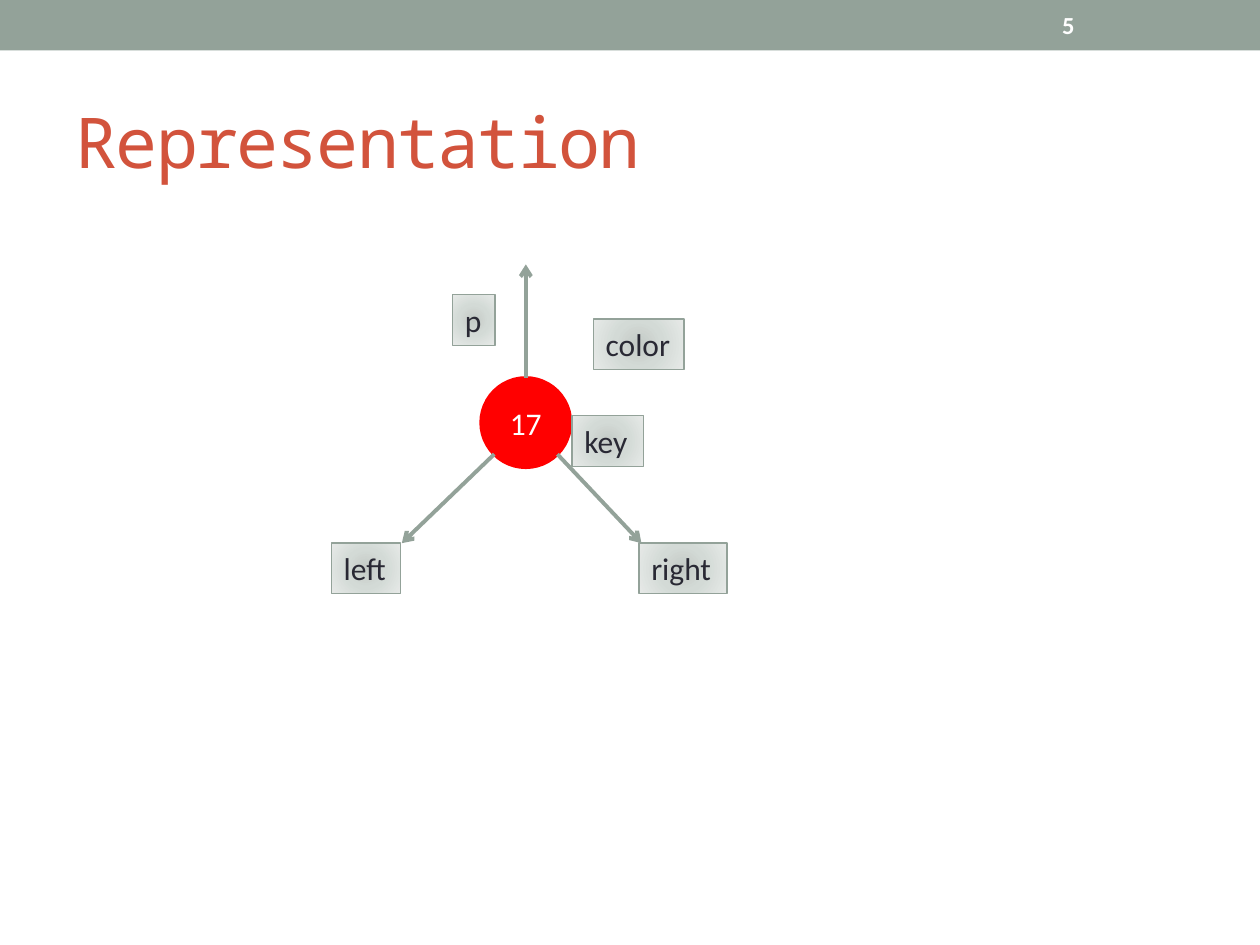
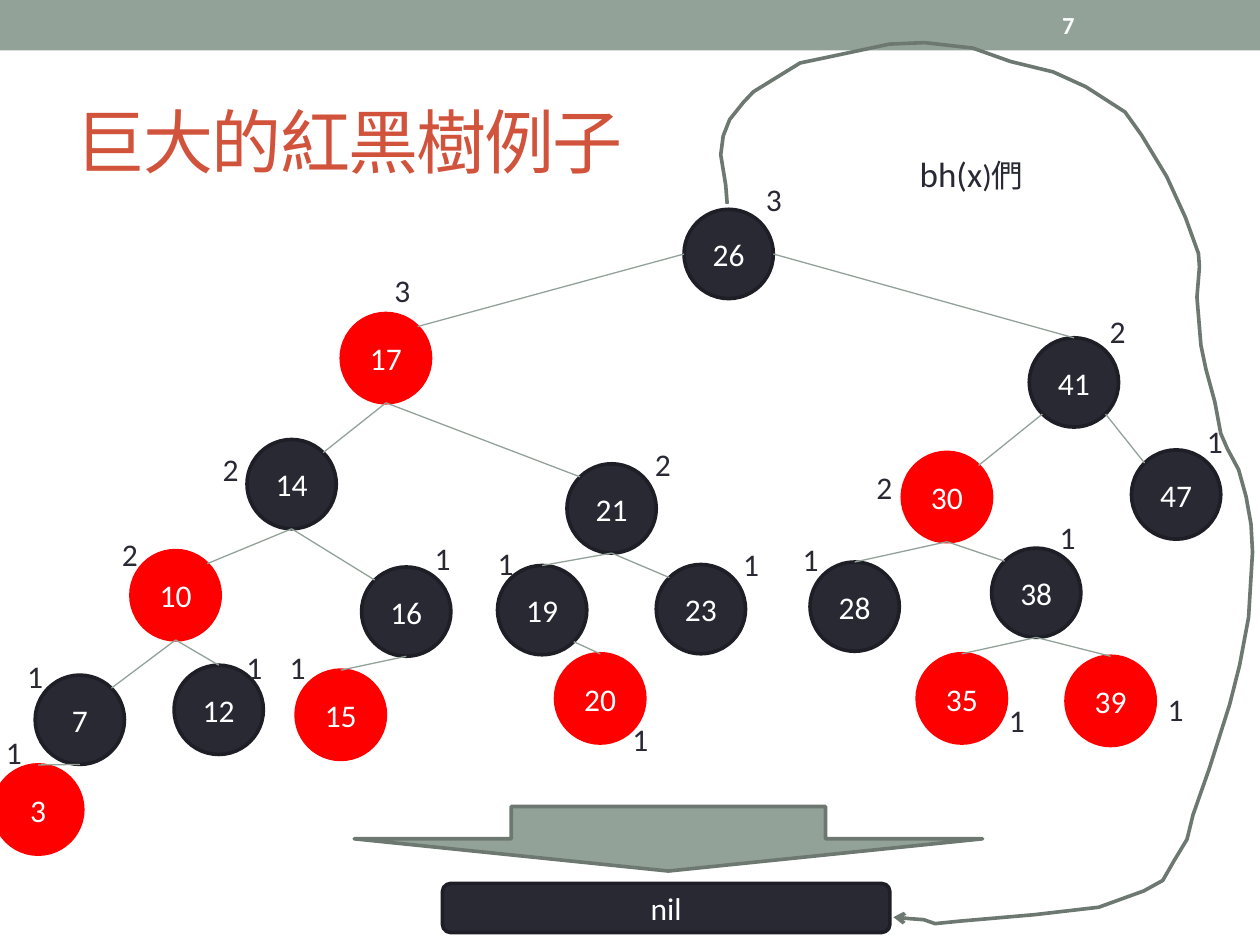
from dataclasses import dataclass
from math import cos, radians, sin

from lxml import etree
from pptx import Presentation
from pptx.dml.color import RGBColor
from pptx.enum import shapes, text
from pptx.oxml import ns, parse_xml
from pptx.util import Cm, Pt


@dataclass(frozen=True)
class Theme:
    sage: str = "93A299"
    sage_dark: str = "6D7871"
    accent: str = "D2533C"
    ink: str = "292934"
    ink_dark: str = "1E1E26"
    red: str = "FF0000"
    white: str = "FFFFFF"
    tag_stops: tuple = ((0, "C4CAC6"), (45, "D3DAD6"), (100, "E7EAE8"))
    body_font: str = "Calibri"
    title_font: str = "Noto Sans Mono"
    title_size: float = 40
    formula_size: float = 20
    body_size: float = 18
    number_size: float = 14
    outline: float = 2.08
    arrow: float = 2.25
    hairline: float = 0.75


DIAMETER = 1.8
ANGLES = {"R": 0, "BR": 45, "B": 90, "BL": 135, "L": 180, "TL": 225, "T": 270, "TR": 315}

# key: left, top, colour, black height, left and top of the height label
TREE = {
    26: (13.79, 4.22, "black", 3, 15.19, 3.51),
    17: (6.88, 6.32, "red", 3, 7.7, 5.33),
    41: (20.75, 6.81, "black", 2, 22.12, 6.17),
    47: (22.81, 9.07, "black", 1, 24.08, 8.38),
    30: (18.19, 9.12, "red", 2, 17.42, 9.32),
    35: (18.49, 13.18, "red", 1, 20.09, 14.0),
    39: (21.49, 13.23, "red", 1, 23.29, 13.79),
    38: (19.99, 11.05, "black", 1, 21.11, 10.31),
    28: (16.33, 11.33, "black", 1, 15.93, 10.77),
    14: (4.98, 8.86, "black", 2, 4.24, 8.94),
    21: (11.43, 9.35, "black", 2, 12.95, 8.84),
    10: (2.64, 11.1, "red", 2, 2.21, 10.67),
    16: (7.29, 11.43, "black", 1, 8.51, 10.74),
    19: (10.03, 11.4, "black", 1, 9.78, 10.85),
    23: (13.23, 11.38, "black", 1, 14.73, 10.87),
    20: (11.2, 13.18, "red", 1, 12.5, 14.4),
    15: (5.97, 13.51, "red", 1, 5.59, 12.93),
    12: (3.51, 13.41, "black", 1, 4.72, 12.93),
    7: (0.71, 13.61, "black", 1, 0.3, 13.13),
    3: (-0.13, 15.42, "red", 1, -0.13, 14.66),
}

EDGES = [
    (26, "L", 17, "TR"), (26, "R", 41, "T"),
    (17, "B", 14, "TR"), (17, "B", 21, "TL"),
    (41, "BL", 30, "TR"), (41, "BR", 47, "TL"),
    (14, "B", 10, "TR"), (14, "B", 16, "TL"),
    (21, "B", 19, "T"), (21, "B", 23, "TL"),
    (30, "B", 28, "T"), (30, "B", 38, "TL"),
    (10, "B", 7, "TR"), (10, "B", 12, "T"),
    (16, "B", 15, "T"), (19, "BR", 20, "T"),
    (38, "B", 35, "T"), (38, "B", 39, "T"),
    (7, "B", 3, "T"),
]

ROOT_TO_NIL = [
    (14.66, 4.11), (14.63, 3.73), (14.53, 3.12), (14.58, 2.74), (14.71, 2.41),
    (14.99, 2.06), (15.19, 1.85), (16.13, 1.27), (16.61, 1.17), (17.93, 0.89),
    (18.64, 0.86), (19.61, 0.97), (20.37, 1.24), (21.23, 1.45), (21.89, 1.75),
    (22.68, 2.26), (23.01, 2.72), (23.52, 3.56), (23.9, 4.39), (24.16, 5.11),
    (24.18, 5.38), (24.13, 5.99), (24.21, 6.96), (24.31, 7.44), (24.49, 8.1),
    (24.61, 8.74), (24.74, 9.04), (24.97, 9.47), (25.12, 10.01), (25.22, 10.57),
    (25.25, 11.13), (25.17, 12.45), (24.99, 13.41), (24.79, 14.2), (24.59, 14.83),
    (24.38, 15.49), (24.05, 16.43), (23.93, 16.92), (23.67, 17.35), (23.44, 17.75),
    (23.06, 17.96), (22.15, 18.29), (20.85, 18.44), (19.35, 18.57), (18.85, 18.62),
    (18.62, 18.54), (18.34, 18.52), (18.01, 18.49),
]

TAGS = [
    ("key", 11.53, 8.38, 1.45),
    ("color", 11.96, 6.43, 1.83),
    ("p", 9.12, 5.94, 0.86),
    ("left", 6.68, 10.95, 1.4),
    ("right", 12.88, 10.95, 1.78),
]


def rim(left, top, side):
    r, angle = DIAMETER / 2, radians(ANGLES[side])
    return left + r + r * cos(angle), top + r + r * sin(angle)


class Deck:
    def __init__(self, theme):
        self.theme = theme
        self.prs = Presentation()
        self.prs.slide_width, self.prs.slide_height = Cm(25.4), Cm(19.05)
        self.s = None

    def slide(self, title, number):
        t = self.theme
        self.s = self.prs.slides.add_slide(self.prs.slide_layouts[5])
        self.shape(shapes.MSO_SHAPE.RECTANGLE, (0, 0, 25.4, 1.02), t.sage)
        sp = self.s.shapes.title
        sp.left, sp.top, sp.width, sp.height = map(Cm, (1.27, 1.47, 22.86, 2.74))
        tf = sp.text_frame
        tf.auto_size = text.MSO_AUTO_SIZE.NONE
        tf.vertical_anchor = text.MSO_ANCHOR.MIDDLE
        p = tf.paragraphs[0]
        p.alignment = text.PP_ALIGN.LEFT
        r = p.add_run()
        r.text = title
        r._r.get_or_add_rPr().set("spc", "-100")
        self.font(p, t.accent, t.title_size, t.title_font)
        sp = self.label(number, 21.16, 0.05, 2.97, 0.91, t.white, t.number_size)
        sp.text_frame.vertical_anchor = text.MSO_ANCHOR.MIDDLE
        sp.text_frame.paragraphs[0].font.bold = True

    def font(self, p, color, size=None, name=None):
        p.font.name = name or self.theme.body_font
        p.font.size = Pt(size or self.theme.body_size)
        p.font.color.rgb = RGBColor.from_string(color)

    def stroke(self, line, color, width):
        line.color.rgb = RGBColor.from_string(color)
        line.width = Pt(width)

    def arrowhead(self, sp):
        ln = sp._element.spPr.find(ns.qn("a:ln"))
        etree.SubElement(ln, ns.qn("a:tailEnd"), type="arrow")

    def shape(self, kind, box, fill, line=None, caption=None):
        t = self.theme
        sp = self.s.shapes.add_shape(kind, *map(Cm, box))
        sp.shadow.inherit = False
        sp.fill.solid()
        sp.fill.fore_color.rgb = RGBColor.from_string(fill)
        if line:
            self.stroke(sp.line, line, t.outline)
        else:
            sp.line.fill.background()
        if caption:
            tf = sp.text_frame
            tf.margin_left = tf.margin_right = 0
            tf.vertical_anchor = text.MSO_ANCHOR.MIDDLE
            p = tf.paragraphs[0]
            p.text = caption
            p.alignment = text.PP_ALIGN.CENTER
            self.font(p, t.white)
        return sp

    def node(self, key, left, top, color):
        t = self.theme
        fill, line = (t.red, t.red) if color == "red" else (t.ink, t.ink_dark)
        self.shape(shapes.MSO_SHAPE.OVAL, (left, top, DIAMETER, DIAMETER), fill, line, str(key))

    def label(self, caption, left, top, width=0.82, height=1.02, color=None, size=None):
        sp = self.s.shapes.add_textbox(*map(Cm, (left, top, width, height)))
        tf = sp.text_frame
        tf.word_wrap = False
        p = tf.paragraphs[0]
        p.text = caption
        self.font(p, color or self.theme.ink, size)
        return sp

    def tag(self, caption, left, top, width):
        t = self.theme
        sp = self.label(caption, left, top, width)
        stops = "".join(
            f'<a:gs pos="{pos * 1000}"><a:srgbClr val="{color}"/></a:gs>'
            for pos, color in t.tag_stops)
        gradient = parse_xml(
            f'<a:gradFill {ns.nsdecls("a")}><a:gsLst>{stops}</a:gsLst><a:path path="circle">'
            '<a:fillToRect l="100000" t="100000" r="100000" b="100000"/></a:path></a:gradFill>')
        sp.fill.background()
        spPr = sp._element.spPr
        spPr.replace(spPr.find(ns.qn("a:noFill")), gradient)
        self.stroke(sp.line, t.sage, t.hairline)

    def line(self, start, end, arrow=False):
        t = self.theme
        sp = self.s.shapes.add_connector(
            shapes.MSO_CONNECTOR.STRAIGHT, *map(Cm, (*start, *end)))
        self.stroke(sp.line, t.sage, t.arrow if arrow else t.hairline)
        etree.SubElement(sp._element.spPr, ns.qn("a:effectLst"))
        if arrow:
            self.arrowhead(sp)

    def curve(self, points):
        t = self.theme
        start, *rest = [(Cm(x), Cm(y)) for x, y in points]
        builder = self.s.shapes.build_freeform(*start)
        builder.add_line_segments(rest, close=False)
        sp = builder.convert_to_shape()
        sp.shadow.inherit = False
        sp.fill.background()
        self.stroke(sp.line, t.sage_dark, t.outline)
        self.arrowhead(sp)

    def formula(self, parts, left, top, width, height):
        sp = self.label("", left, top, width, height)
        sp.text_frame.word_wrap = True
        p = sp.text_frame.paragraphs[0]
        for caption, size in parts:
            r = p.add_run()
            r.text = caption
            r.font.size = Pt(size)


def representation(deck):
    deck.slide("Representation", "5")
    node = (9.7, 7.62)
    deck.node(17, *node, "red")
    for tag in TAGS:
        deck.tag(*tag)
    for side, end in (("T", (10.6, 5.33)), ("BR", (12.93, 10.95)), ("BL", (8.1, 10.95))):
        deck.line(rim(*node, side), end, arrow=True)


def big_tree(deck):
    t = deck.theme
    deck.slide("巨大的紅黑樹例子", "7")
    for key, (left, top, color, *_) in TREE.items():
        deck.node(key, left, top, color)
    for parent, side, child, child_side in EDGES:
        deck.line(rim(*TREE[parent][:2], side), rim(*TREE[child][:2], child_side))
    for *_, height, left, top in TREE.values():
        deck.label(str(height), left, top)
    deck.formula([("bh(x", t.formula_size), (")們", t.body_size)], 18.29, 2.95, 3.23, 1.12)
    deck.shape(shapes.MSO_SHAPE.ROUNDED_RECTANGLE, (8.92, 17.81, 9.02, 0.99),
               t.ink, t.ink_dark, "nil")
    deck.shape(shapes.MSO_SHAPE.DOWN_ARROW, (7.14, 16.26, 12.67, 1.3), t.sage, t.sage_dark)
    deck.curve(ROOT_TO_NIL)


def main():
    deck = Deck(Theme())
    representation(deck)
    big_tree(deck)
    deck.prs.save("out.pptx")


if __name__ == "__main__":
    main()
